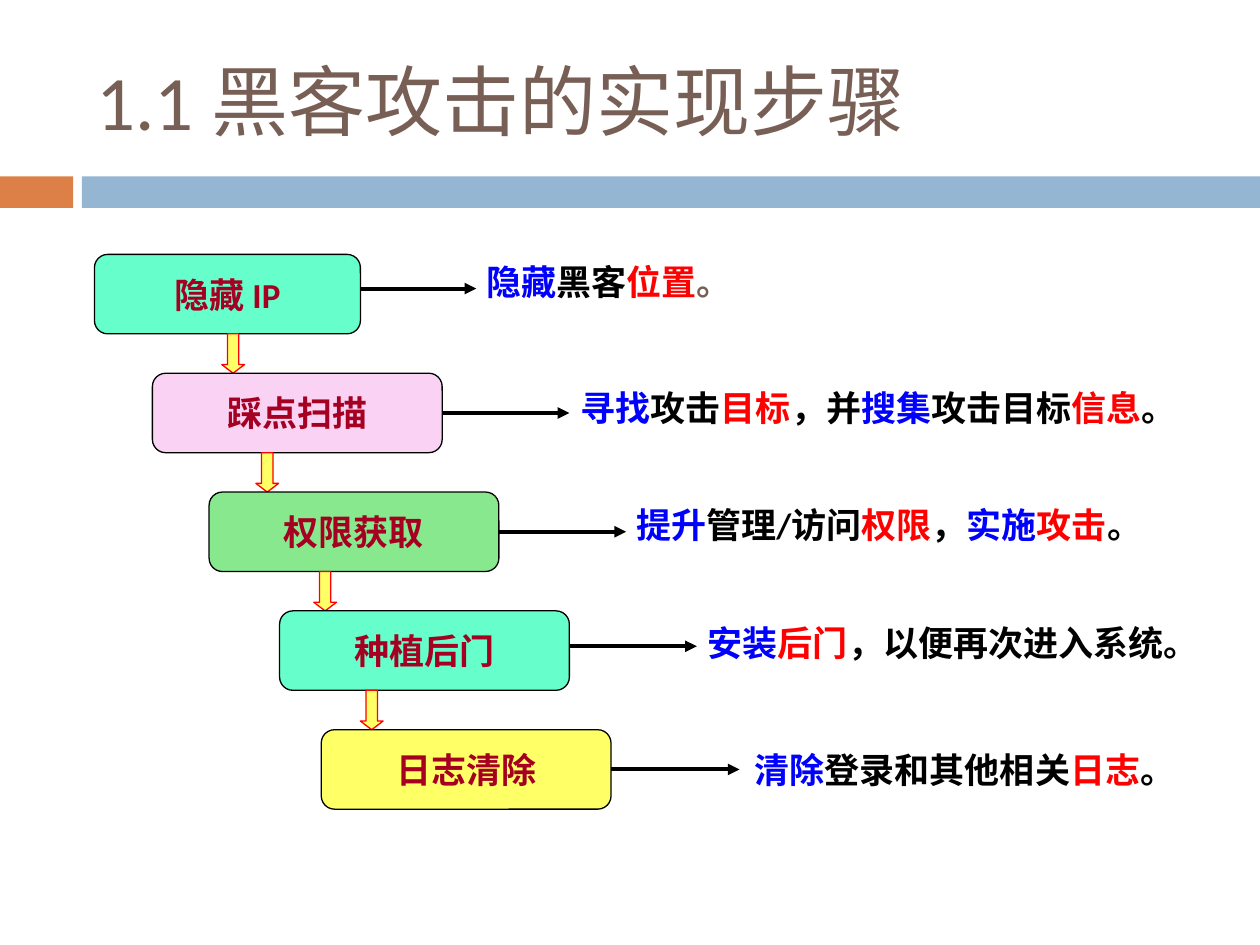
"""Build the slide on the five steps of a hacker attack."""
from lxml.etree import SubElement
from pptx import Presentation
from pptx.dml.color import RGBColor
from pptx.enum.shapes import MSO_CONNECTOR as Connector, MSO_SHAPE as Shape
from pptx.enum.text import MSO_ANCHOR as Anchor, PP_ALIGN as Align
from pptx.oxml.ns import qn
from pptx.util import Pt

BLACK, RED, BLUE = RGBColor(0, 0, 0), RGBColor(255, 0, 0), RGBColor(0, 0, 255)
BROWN, CRIMSON = RGBColor(0x77, 0x5F, 0x55), RGBColor(0xA5, 0x00, 0x21)
ORANGE, STEEL = RGBColor(0xDD, 0x80, 0x47), RGBColor(0x94, 0xB6, 0xD2)
MINT, PINK = RGBColor(0x66, 0xFF, 0xCC), RGBColor(0xFA, 0xD2, 0xF4)
GREEN, YELLOW = RGBColor(0x88, 0xE8, 0x8D), RGBColor(0xFF, 0xFF, 0x66)
FONT = "Calibri"

TITLE = "1.1 黑客攻击的实现步骤"
BANDS = [(0, 41.8, ORANGE), (46.8, 673.2, STEEL)]
STEPS = [
    dict(name="隐藏 IP", fill=MINT, left=54, width=152, rise=3.2, tip=272.2,
         note_at=(270.7, 145.4, 270.7), down=126.7,
         note=[("隐藏", BLUE), ("黑客", BLACK), ("位置", RED), ("。", BROWN)]),
    dict(name="踩点扫描", fill=PINK, left=87.1, width=165.6, rise=0, tip=325.4,
         note_at=(324.7, 217.4, 341.3), down=146.2,
         note=[("寻找", BLUE), ("攻击", BLACK), ("目标", RED), ("，并", BLACK),
               ("搜集", BLUE), ("攻击目标", BLACK), ("信息", RED), ("。", BLACK)]),
    dict(name="权限获取", fill=GREEN, left=119.5, width=165.6, rise=0, tip=357.8,
         note_at=(356.4, 284.4, 303.8), down=179.3,
         note=[("提升", BLUE), ("管理/访问", BLACK), ("权限", RED), ("，", BLACK),
               ("实施", BLUE), ("攻击", RED), ("。", BLACK)]),
    dict(name="种植后门", fill=MINT, left=159.8, width=165.6, rise=2.5, tip=398.2,
         note_at=(397.4, 351.4, 285.8), down=205.9,
         note=[("安装", BLUE), ("后门", RED), ("，以便再次进入系统。", BLACK)]),
    dict(name="日志清除", fill=YELLOW, left=183.6, width=165.6, rise=0, tip=422.6,
         note_at=(424.1, 424.1, 250.6), down=None,
         note=[("清除", BLUE), ("登录和其他相关", BLACK), ("日志", RED), ("。", BLACK)]),
]
FIRST_TOP, PITCH, BOX_HEIGHT, NOTE_HEIGHT = 145.4, 67.9, 45.4, 31.7


def add_figure(slide, kind, bounds, fill, outline=None):
    figure = slide.shapes.add_shape(kind, *map(Pt, bounds))
    figure.shadow.inherit = False
    figure.fill.solid()
    figure.fill.fore_color.rgb = fill
    if outline is None:
        figure.line.fill.background()
    else:
        figure.line.color.rgb = outline
        figure.line.width = Pt(0.75)
    return figure


def write(paragraph, parts, size, bold=True):
    for text, color in parts:
        run = paragraph.add_run()
        run.text = text
        run.font.name, run.font.size, run.font.bold = FONT, Pt(size), bold
        run.font.color.rgb = color


def add_text(slide, bounds, parts, size, bold=True, anchor=Anchor.TOP):
    frame = slide.shapes.add_textbox(*map(Pt, bounds)).text_frame
    frame.word_wrap = True
    frame.vertical_anchor = anchor
    write(frame.paragraphs[0], parts, size, bold)


def add_pointer(slide, box, start, tip, y, joined):
    pointer = slide.shapes.add_connector(
        Connector.STRAIGHT, Pt(start), Pt(y), Pt(tip), Pt(y))
    if joined:
        pointer.begin_connect(box, 3)
    pointer.line.color.rgb = BLACK
    pointer.line.width = Pt(2.25)
    SubElement(pointer.line._get_or_add_ln(), qn("a:tailEnd"), type="triangle")
    SubElement(pointer._element.spPr, qn("a:effectLst"))


def add_step(slide, step, top):
    left, width = step["left"], step["width"]
    box = add_figure(slide, Shape.ROUNDED_RECTANGLE,
                     (left, top, width, BOX_HEIGHT), step["fill"], BLACK)
    frame = box.text_frame
    frame.word_wrap = False
    frame.vertical_anchor = Anchor.MIDDLE
    frame.paragraphs[0].alignment = Align.CENTER
    write(frame.paragraphs[0], [(step["name"], CRIMSON)], 20)

    y = top + BOX_HEIGHT / 2 - step["rise"]
    add_pointer(slide, box, left + width, step["tip"], y, step["rise"] == 0)
    note_left, note_top, note_width = step["note_at"]
    add_text(slide, (note_left, note_top, note_width, NOTE_HEIGHT), step["note"], 20)
    if step["down"] is not None:
        bounds = (step["down"], top + BOX_HEIGHT, 13, PITCH - BOX_HEIGHT)
        down = add_figure(slide, Shape.DOWN_ARROW, bounds, YELLOW, RED)
        down.adjustments[1] = 0.38


def main():
    deck = Presentation()
    deck.slide_width, deck.slide_height = Pt(720), Pt(540)
    slide = deck.slides.add_slide(deck.slide_layouts[6])
    for left, width, color in BANDS:
        add_figure(slide, Shape.RECTANGLE, (left, 100.8, width, 18), color)
    add_text(slide, (48, 18, 642, 78), [(TITLE, BROWN)], 44, False, Anchor.MIDDLE)
    for index, step in enumerate(STEPS):
        add_step(slide, step, FIRST_TOP + index * PITCH)
    deck.save("out.pptx")


if __name__ == "__main__":
    main()
